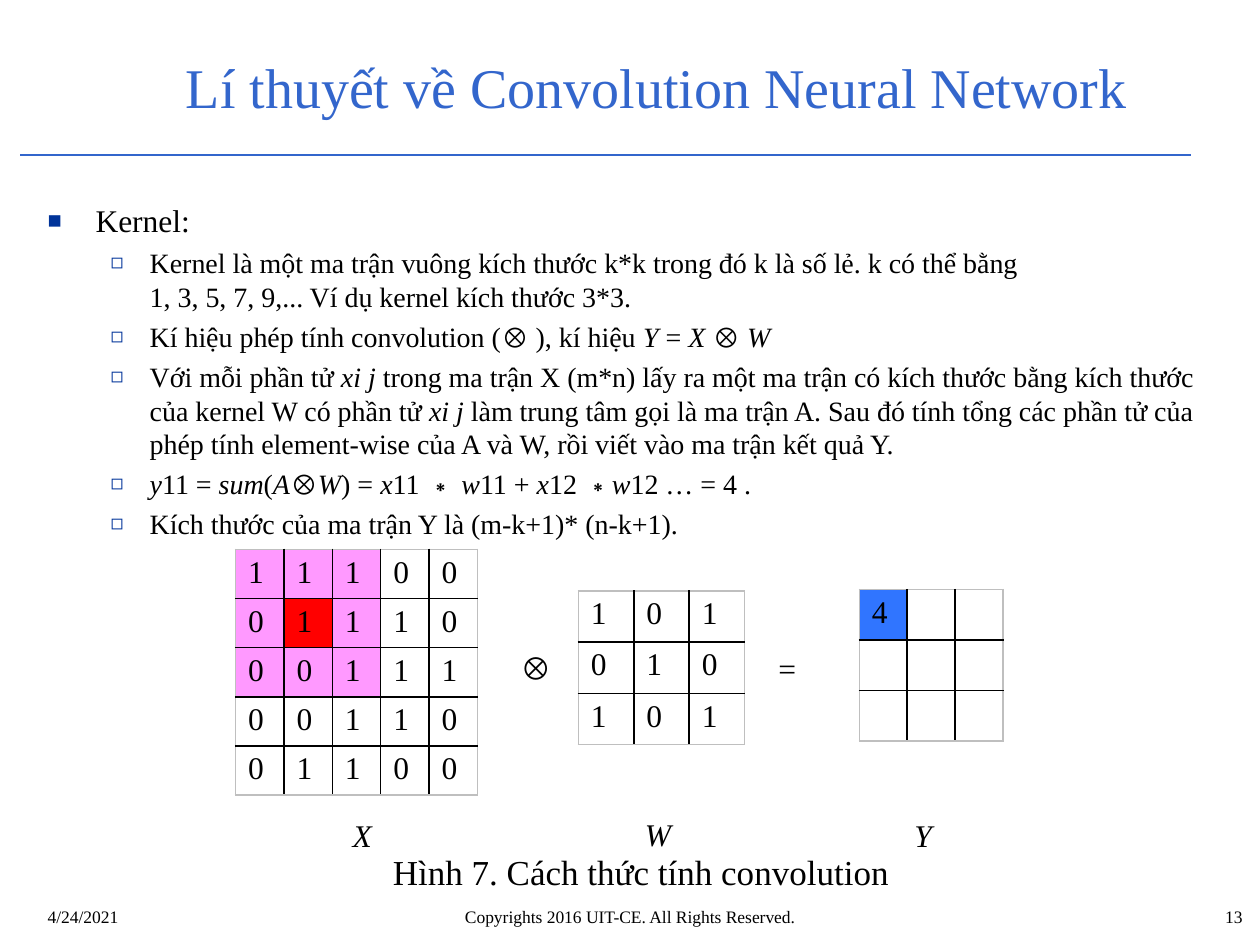
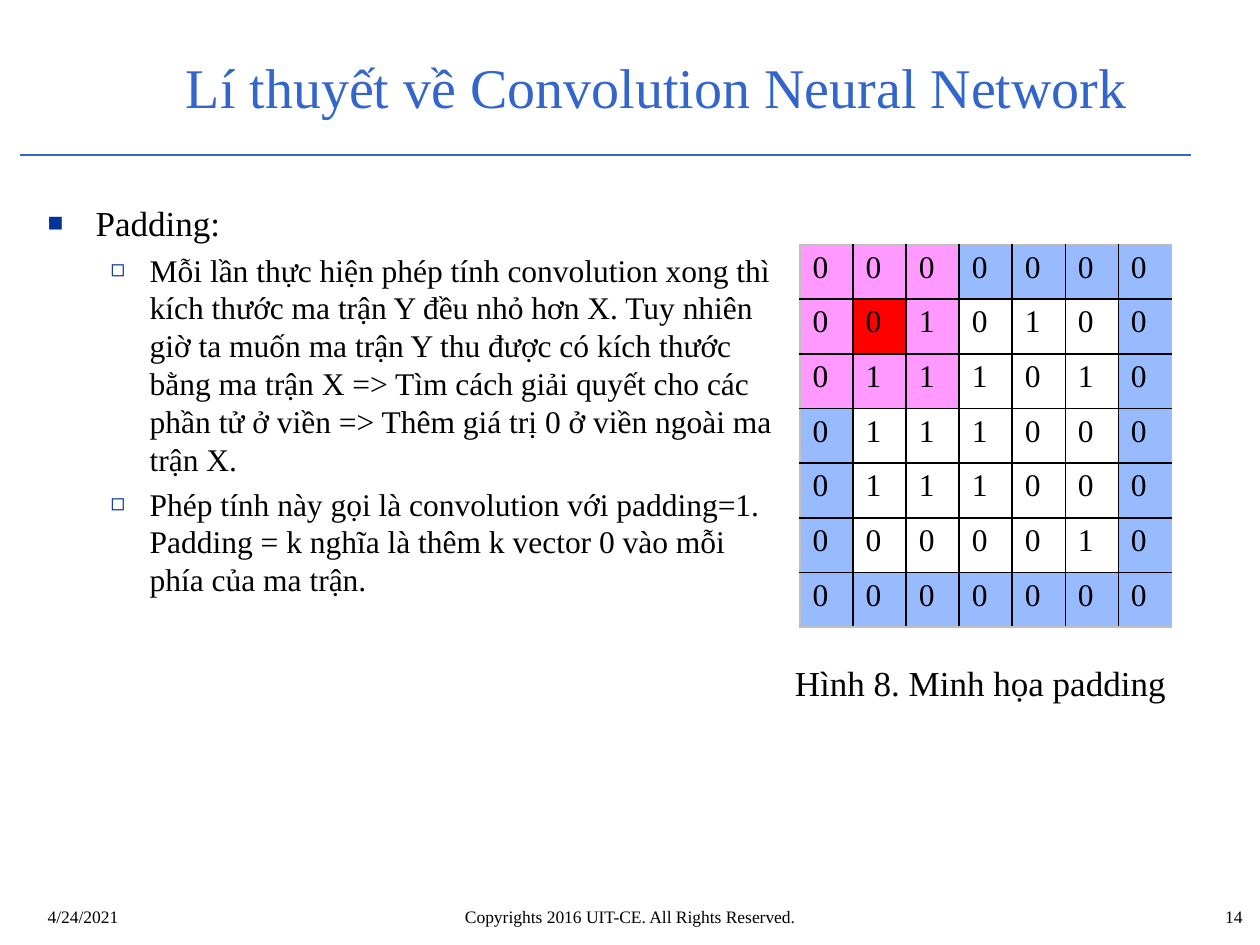
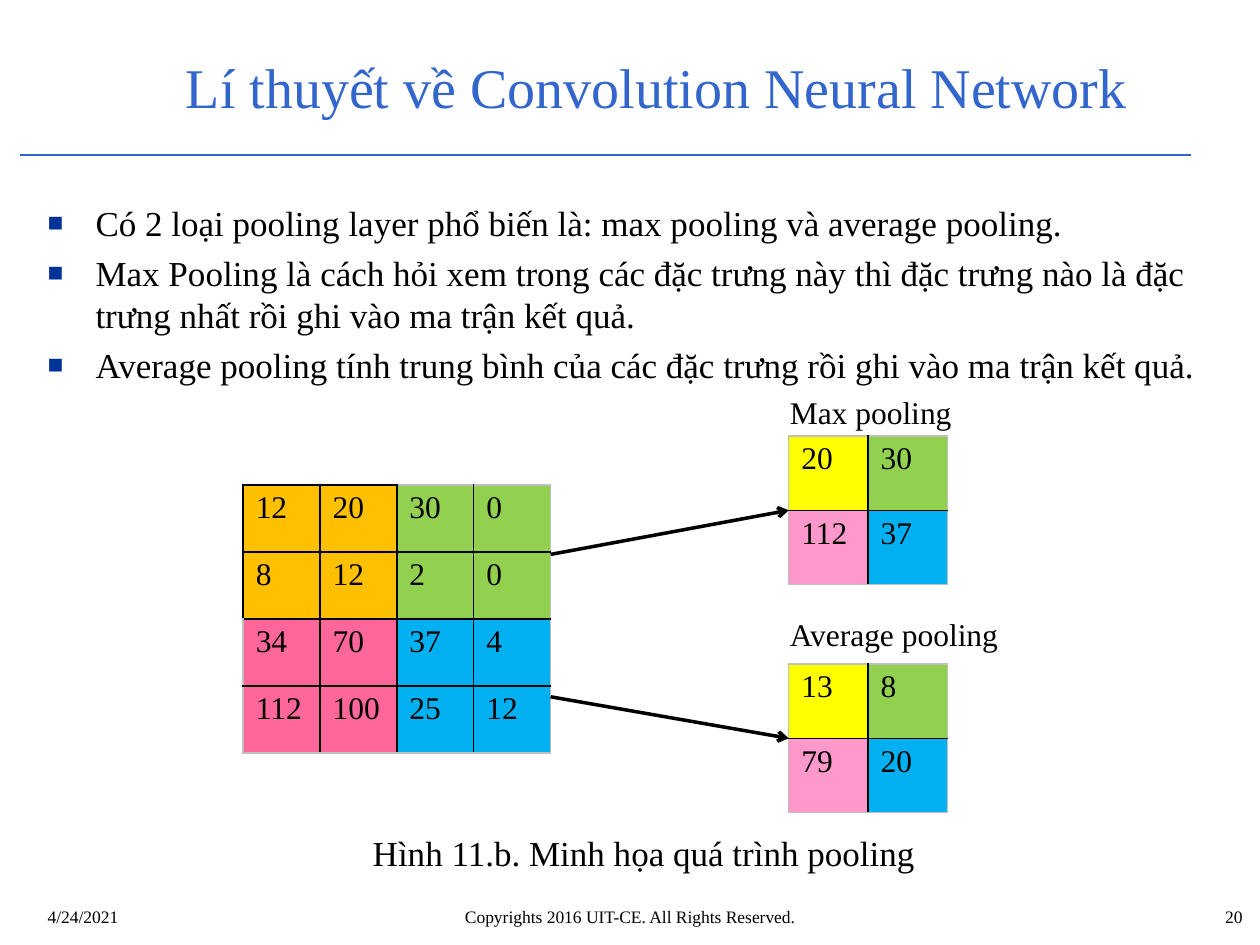
"""Builds three lecture slides on convolution, padding and pooling."""
from lxml import etree
from pptx import Presentation, util as u
from pptx.dml.color import RGBColor
from pptx.enum import shapes, text
from pptx.oxml.ns import qn

COLS, ROWS = 100, 75
PINK, RED, BLUE, SKY = "FF99FF", "FF0000", "3075FF", "98BAFF"
YELLOW, GREEN, ROSE, CYAN = "FFFF00", "92D050", "FF99CC", "00B0F0"
ORANGE, CORAL = "FFC000", "FF6699"
INK, ACCENT, BULLET, EDGE = "000000", "3366CC", "003399", "BFBFBF"
LEFT, CENTER, RIGHT = text.PP_ALIGN.LEFT, text.PP_ALIGN.CENTER, text.PP_ALIGN.RIGHT
LEVELS = [("■", 3.8, 3.8), ("◻", 8.1, 3.1)]


def rgb(code):
    return RGBColor.from_string(code)


def child(parent, tag, **attrs):
    return etree.SubElement(parent, qn(tag), {k: str(v) for k, v in attrs.items()})


class Deck:
    font = "Times New Roman"
    heading = "Lí thuyết về Convolution Neural Network "

    def __init__(self):
        self.prs = Presentation()
        self.prs.slide_width, self.prs.slide_height = u.Inches(10), u.Inches(7.5)
        self.s = None

    def x(self, cols):
        return u.Emu(round(self.prs.slide_width * cols / COLS))

    def y(self, rows):
        return u.Emu(round(self.prs.slide_height * rows / ROWS))

    def box(self, at):
        left, top, width, height = at
        return self.x(left), self.y(top), self.x(width), self.y(height)

    def slide(self, number):
        self.s = self.prs.slides.add_slide(self.prs.slide_layouts[6])
        self.line((1.6, 12.3), (94.5, 12.3), ACCENT, 0.75)
        self.label((95.4, 71.4, 4.2, 3.5), str(number), 10, align=RIGHT)
        self.label((2.8, 71.4, 23.3, 3.2), "4/24/2021", 10)
        self.label((19.3, 71.4, 61.4, 3.2),
                   "Copyrights 2016 UIT-CE. All Rights Reserved.", 10, align=CENTER)
        title = self.label((12.5, 3, 80.4, 7.6), self.heading, 32, ACCENT, CENTER)
        title.vertical_anchor = text.MSO_ANCHOR.MIDDLE

    def frame(self, at):
        tf = self.s.shapes.add_textbox(*self.box(at)).text_frame
        tf.word_wrap = True
        return tf

    def run(self, p, words, size, color=INK, italic=False):
        for i, part in enumerate(words.split("\n")):
            if i:
                p.add_line_break()
            r = p.add_run()
            r.text = part
            r.font.name, r.font.size = self.font, u.Pt(size)
            r.font.italic = italic
            r.font.color.rgb = rgb(color)

    def label(self, at, words, size=18, color=INK, align=LEFT, italic=False):
        tf = self.frame(at)
        p = tf.paragraphs[0]
        p.alignment = align
        self.run(p, words, size, color, italic)
        return tf

    def bullets(self, at, items):
        """Items are (level, size, runs); every second run is italic."""
        tf = self.frame(at)
        for i, (level, size, runs) in enumerate(items):
            p = tf.add_paragraph() if i else tf.paragraphs[0]
            mark, margin, hang = LEVELS[level]
            p.level = level
            p.space_before = u.Pt(round(size * 0.23, 1))
            pPr = p._p.get_or_add_pPr()
            pPr.set("marL", str(self.x(margin)))
            pPr.set("indent", str(-self.x(hang)))
            child(child(pPr, "a:buClr"), "a:srgbClr", val=BULLET)
            child(pPr, "a:buSzPct", val=75000)
            child(pPr, "a:buFont", typeface=self.font)
            child(pPr, "a:buChar", char=mark)
            for n, words in enumerate(runs):
                if words:
                    self.run(p, words, size, italic=n % 2 == 1)

    def table(self, at, cell_size, rows, fills=None, dark_corner=0):
        """Rows hold cell texts; fills maps (row, column) to a colour."""
        n, m = len(rows), len(rows[0])
        width, height = cell_size
        t = self.s.shapes.add_table(n, m, *self.box((*at, width * m, height * n))).table
        t.first_row = t.horz_banding = False
        for col in t.columns:
            col.width = self.x(width)
        for row in t.rows:
            row.height = self.y(height)
        for i, row in enumerate(rows):
            for j, words in enumerate(row):
                cell = t.cell(i, j)
                cell.margin_top = cell.margin_bottom = self.y(0.45)
                p = cell.text_frame.paragraphs[0]
                p.font.size = u.Pt(18)
                if words:
                    self.run(p, words, 18)
                outer = {"L": j == 0 and i >= dark_corner, "R": j == m - 1,
                         "T": i == 0 and j >= dark_corner, "B": i == n - 1}
                self.borders(cell, outer)
                fill = (fills or {}).get((i, j))
                if fill:
                    cell.fill.solid()
                    cell.fill.fore_color.rgb = rgb(fill)
                else:
                    cell.fill.background()

    def borders(self, cell, outer):
        tcPr = cell._tc.get_or_add_tcPr()
        for side, is_edge in outer.items():
            ln = child(tcPr, "a:ln" + side, w=u.Pt(1))
            color = EDGE if is_edge else INK
            child(child(ln, "a:solidFill"), "a:srgbClr", val=color)

    def line(self, start, end, color=INK, width=2, arrow=False):
        c = self.s.shapes.add_connector(
            shapes.MSO_CONNECTOR.STRAIGHT, self.x(start[0]), self.y(start[1]),
            self.x(end[0]), self.y(end[1]))
        c.line.color.rgb, c.line.width = rgb(color), u.Pt(width)
        if arrow:
            child(c.line._get_or_add_ln(), "a:tailEnd", type="arrow")
        child(c._element.spPr, "a:effectLst")


def area(rows, cols, color):
    return {(i, j): color for i in rows for j in cols}


def window():
    return area(range(3), range(3), PINK) | {(1, 1): RED}


def quarters(colors, size):
    return {(i, j): colors[i // size * 2 + j // size]
            for i in range(2 * size) for j in range(2 * size)}


def kernel_slide(d):
    d.slide(13)
    d.bullets((2.8, 15.5, 94.5, 28.7), [
        (0, 18, ["Kernel:"]),
        (1, 16, ["Kernel là một ma trận vuông kích thước k*k trong đó k là số lẻ. "
                 "k có thể bằng\n1, 3, 5, 7, 9,... Ví dụ kernel kích thước 3*3."]),
        (1, 16, ["Kí hiệu phép tính convolution (⊗ ), kí hiệu ", "Y ", "= ", "X ", "⊗", " W"]),
        (1, 16, ["Với mỗi phần tử ", "xi j ",
                 "trong ma trận X (m*n) lấy ra một ma trận có kích thước bằng kích thước "
                 "của kernel W có phần tử ", "xi j ",
                 "làm trung tâm gọi là ma trận A. Sau đó tính tổng các phần tử của phép "
                 "tính element-wise của A và W, rồi viết vào ma trận kết quả Y."]),
        (1, 16, ["", "y", "11 = ", "sum", "(", "A", "⊗", "W", ") = ", "x", "11 ",
                 "∗ w", "11 + ", "x", "12 ", "∗w", "12 … = 4 ."]),
        (1, 16, ["Kích thước của ma trận Y là (m-k+1)* (n-k+1)."]),
    ])
    d.table((18.7, 43.6), (3.84, 3.78),
            ["11100", "01110", "00111", "00110", "01100"], window())
    d.label((40.3, 50.9, 4.7, 4), "⊗")
    d.table((45.9, 46.9), (4.4, 4.07), ["101", "010", "101"])
    d.label((60.8, 51, 5, 4), "=")
    d.table((68.2, 46.8), (3.8, 4), [["4", "", ""], [""] * 3, [""] * 3], {(0, 0): BLUE})
    for left, top, name in [(27, 64.3, "X"), (50.2, 64.2, "W"), (71.6, 64.3, "Y")]:
        d.label((left, top, 4.7, 4), name, italic=True)
    d.label((30.2, 67, 43.7, 4.4), "Hình 7. Cách thức tính convolution", 20)


def padding_slide(d):
    d.slide(14)
    d.bullets((2.8, 15.5, 59.8, 53.7), [
        (0, 20, ["Padding:"]),
        (1, 18, ["Mỗi lần thực hiện phép tính convolution xong thì kích thước ma trận Y "
                 "đều nhỏ hơn X. Tuy nhiên giờ ta muốn ma trận Y thu được có kích thước "
                 "bằng ma trận X => Tìm cách giải quyết cho các phần tử ở viền => Thêm "
                 "giá trị 0 ở viền ngoài ma trận X."]),
        (1, 18, ["Phép tính này gọi là convolution với padding=1. Padding = k nghĩa là "
                 "thêm k vector 0 vào mỗi phía của ma trận."]),
    ])
    border = area((0, 6), range(7), SKY) | area(range(7), (0, 6), SKY)
    d.table((63.5, 19.4), (4.21, 4.34),
            ["0000000", "0010100", "0111010", "0111000", "0111000", "0000010", "0000000"],
            border | window())
    d.label((62.1, 52, 35.1, 4.4), "Hình 8. Minh họa padding", 20)


def pooling_slide(d):
    d.slide(20)
    d.bullets((2.8, 15.5, 94.5, 17.3), [
        (0, 20, ["Có 2 loại pooling layer phổ biến là: max pooling và average pooling."]),
        (0, 20, ["Max Pooling là cách hỏi xem trong các đặc trưng này thì đặc trưng nào "
                 "là đặc trưng nhất rồi ghi vào ma trận kết quả."]),
        (0, 20, ["Average pooling tính trung bình của các đặc trưng rồi ghi vào ma trận "
                 "kết quả."]),
    ])
    d.table((19.3, 38.5), (6.1, 5.32),
            [["12", "20", "30", "0"], ["8", "12", "2", "0"],
             ["34", "70", "37", "4"], ["112", "100", "25", "12"]],
            quarters([ORANGE, GREEN, CORAL, CYAN], 2), dark_corner=2)
    results = [("Max pooling", 30.7, 34.6, 44, [["20", "30"], ["112", "37"]]),
               ("Average pooling", 48.3, 52.7, 55.3, [["13", "8"], ["79", "20"]])]
    for name, name_top, top, start, values in results:
        d.label((61.7, name_top, 21.3, 4), name)
        d.table((62.6, top), (6.3, 5.9), values, quarters([YELLOW, GREEN, ROSE, CYAN], 1))
        d.line((43.7, start), (62.6, top + 5.9), arrow=True)
    d.label((28.6, 65.5, 48.2, 4.4), "Hình 11.b. Minh họa quá trình pooling", 20)


def main():
    d = Deck()
    kernel_slide(d)
    padding_slide(d)
    pooling_slide(d)
    d.prs.save("out.pptx")


if __name__ == "__main__":
    main()
